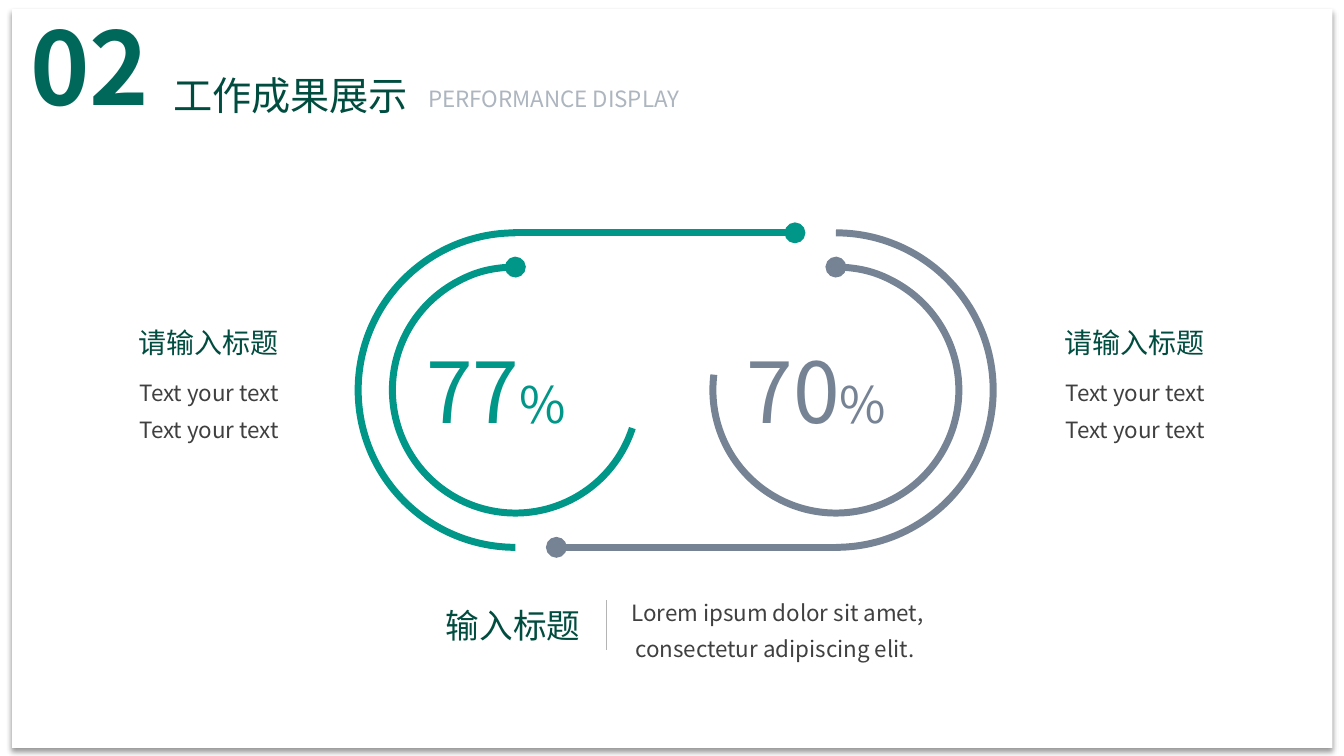
"""Build the performance display slide with two percentage rings."""
from lxml import etree
from pptx import Presentation
from pptx import util as u
from pptx.dml.color import RGBColor
from pptx.enum import shapes, text
from pptx.oxml.ns import qn

COLORS = {
    "teal": "009688", "slate": "768395", "deep": "00685B", "title": "004C3F",
    "body": "404040", "pale": "ADB5BF", "rule": "B4B4B4", "card": "FFFFFF", "shadow": "000000",
}
FONT = "Noto Sans CJK SC"
COLUMNS, ROWS = 40, 22.5

deck = Presentation()
deck.slide_width, deck.slide_height = u.Inches(40 / 3), u.Inches(7.5)
column, row = deck.slide_width / COLUMNS, deck.slide_height / ROWS
page = deck.slides.add_slide(deck.slide_layouts[6])


def stroke(shape, color, width, end=None):
    """Outline a shape without shadow, with an optional round end."""
    shape.line.color.rgb = RGBColor.from_string(COLORS[color])
    shape.line.width = u.Pt(width)
    properties = shape.element.spPr
    etree.SubElement(properties, qn("a:effectLst"))
    if end:
        etree.SubElement(properties.find(qn("a:ln")), qn(f"a:{end}"), type="oval")


def write(place, lines, color, align="LEFT", spacing=None):
    """Add a text box; each line is a list of (words, size, bold) runs."""
    left, top, width, height = place
    box = page.shapes.add_textbox(
        u.Emu(int(left * column)), u.Emu(int(top * row)),
        u.Emu(int(width * column)), u.Emu(int(height * row)))
    frame = box.text_frame
    frame.word_wrap = True
    frame.auto_size = text.MSO_AUTO_SIZE.SHAPE_TO_FIT_TEXT
    for index, runs in enumerate(lines):
        para = frame.paragraphs[0] if index == 0 else frame.add_paragraph()
        para.alignment = text.PP_ALIGN[align]
        if spacing:
            para.line_spacing = u.Pt(spacing)
        for words, size, bold in runs:
            span = para.add_run()
            span.text = words
            values = {"name": FONT, "size": u.Pt(size), "bold": bold}
            for name, value in values.items():
                setattr(span.font, name, value)
            span.font.color.rgb = RGBColor.from_string(COLORS[color])
            etree.SubElement(span.font._element, qn("a:ea"), typeface=FONT)


card = page.shapes.add_shape(
    shapes.MSO_SHAPE.RECTANGLE, int(0.36 * column), int(0.27 * row),
    int(39.3 * column), int(21.99 * row))
card.fill.solid()
card.fill.fore_color.rgb = RGBColor.from_string(COLORS["card"])
card.line.fill.background()
effects = etree.SubElement(card.element.spPr, qn("a:effectLst"))
shadow = etree.SubElement(
    effects, qn("a:outerShdw"), blurRad=str(u.Pt(4)), dist=str(u.Pt(3)),
    dir="5400000", algn="t", rotWithShape="0")
tint = etree.SubElement(shadow, qn("a:srgbClr"), val=COLORS["shadow"])
etree.SubElement(tint, qn("a:alpha"), val="40000")

MIDDLE, CENTER_ROW, OUTER, INNER = 20.11, 11.61, 4.68, 3.66
rings = [(-1, "teal", "77", 97.2), (1, "slate", "70", 112.32)]
for side, color, percent, sweep_end in rings:
    center = MIDDLE + side * 4.77
    for radius, arc_end, cap in [(INNER, sweep_end, "headEnd"), (OUTER, 54, None)]:
        arc = page.shapes.add_shape(
            shapes.MSO_SHAPE.ARC, int((center - radius) * column),
            int((CENTER_ROW - radius) * row), int(2 * radius * column), int(2 * radius * row))
        arc.adjustments[0], arc.adjustments[1] = 162, arc_end
        arc.fill.background()
        if side < 0:
            arc.element.spPr.xfrm.set("flipH", "1")
        stroke(arc, color, 5, cap)
    level = int((CENTER_ROW + side * OUTER) * row)
    bar = page.shapes.add_connector(
        shapes.MSO_CONNECTOR.STRAIGHT, int((MIDDLE + side * 4.84) * column), level,
        int((MIDDLE - side * 3.55) * column), level)
    stroke(bar, color, 5, "tailEnd")
    write((center - 2.95, 9.96, 5.91, 3.33), [[(percent, 60, False), ("%", 36, False)]], color)

    caption = COLUMNS / 2 + side * 13.78
    write((caption - 3.23, 9.54, 6.45, 1.32), [[("请输入标题", 20, False)]], "title", "CENTER")
    write((caption - 2.98, 10.86, 5.97, 2.43), [[("Text your text", 16, False)]] * 2,
          "body", "CENTER", 26)

write((11.91, 17.85, 6.72, 1.5), [[("输入标题", 24, False)]], "title", "CENTER")
write((17.49, 17.4, 11.31, 2.4),
      [[("Lorem ipsum dolor sit amet, consectetur adipiscing elit. ", 16, False)]],
      "body", "CENTER", 26)
divider = page.shapes.add_connector(
    shapes.MSO_CONNECTOR.STRAIGHT, int(18.06 * column), int(17.85 * row),
    int(18.06 * column), int(19.35 * row))
stroke(divider, "rule", 0.5)

write((0.6, 0, 4.83, 3.93), [[("02", 72, True)]], "deep")
write((4.86, 1.98, 7.68, 1.71), [[("工作成果展示", 28, False)]], "title")
write((12.45, 2.4, 10.08, 1.11), [[("PERFORMANCE DISPLAY", 16, False)]], "pale")

deck.save("out.pptx")
